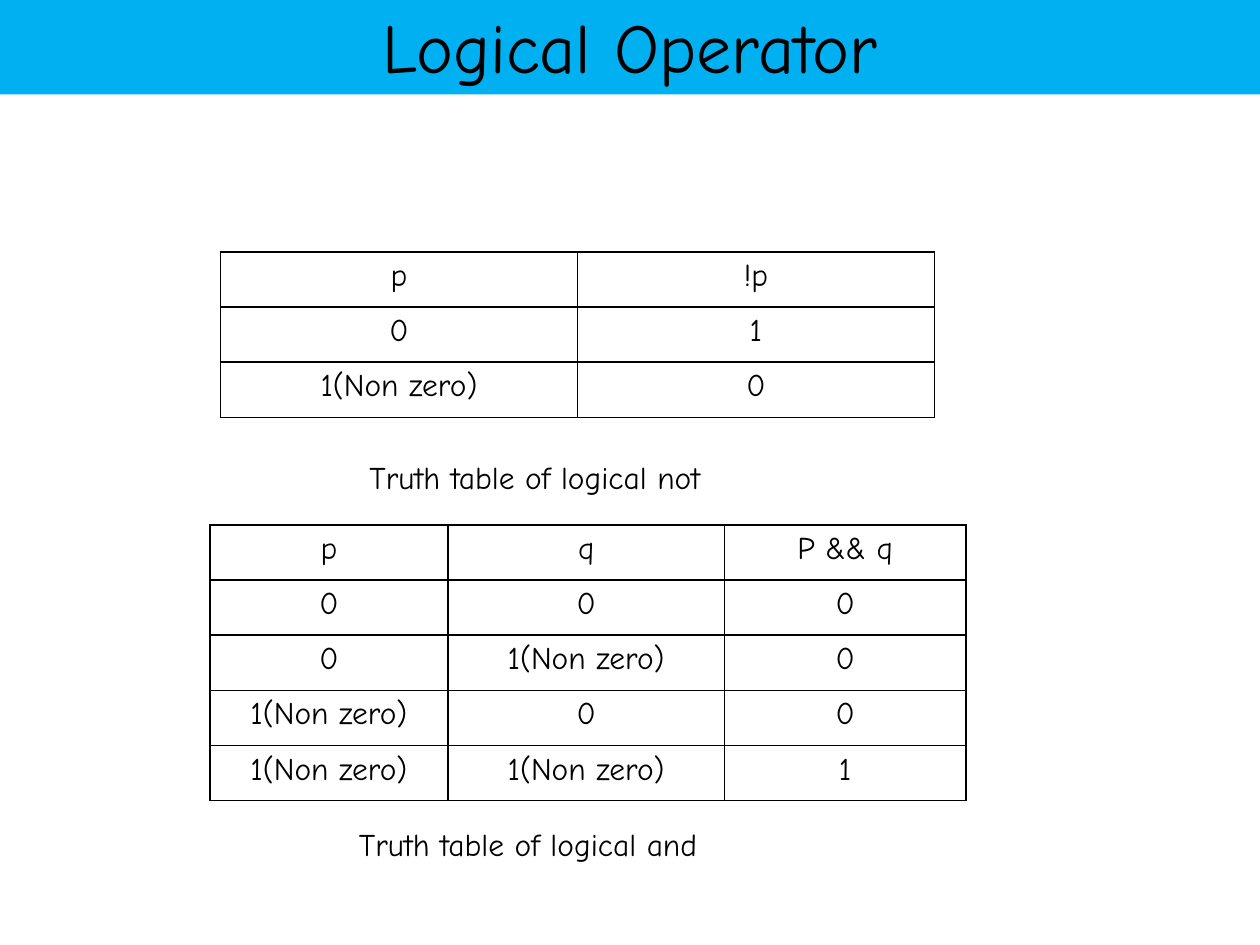
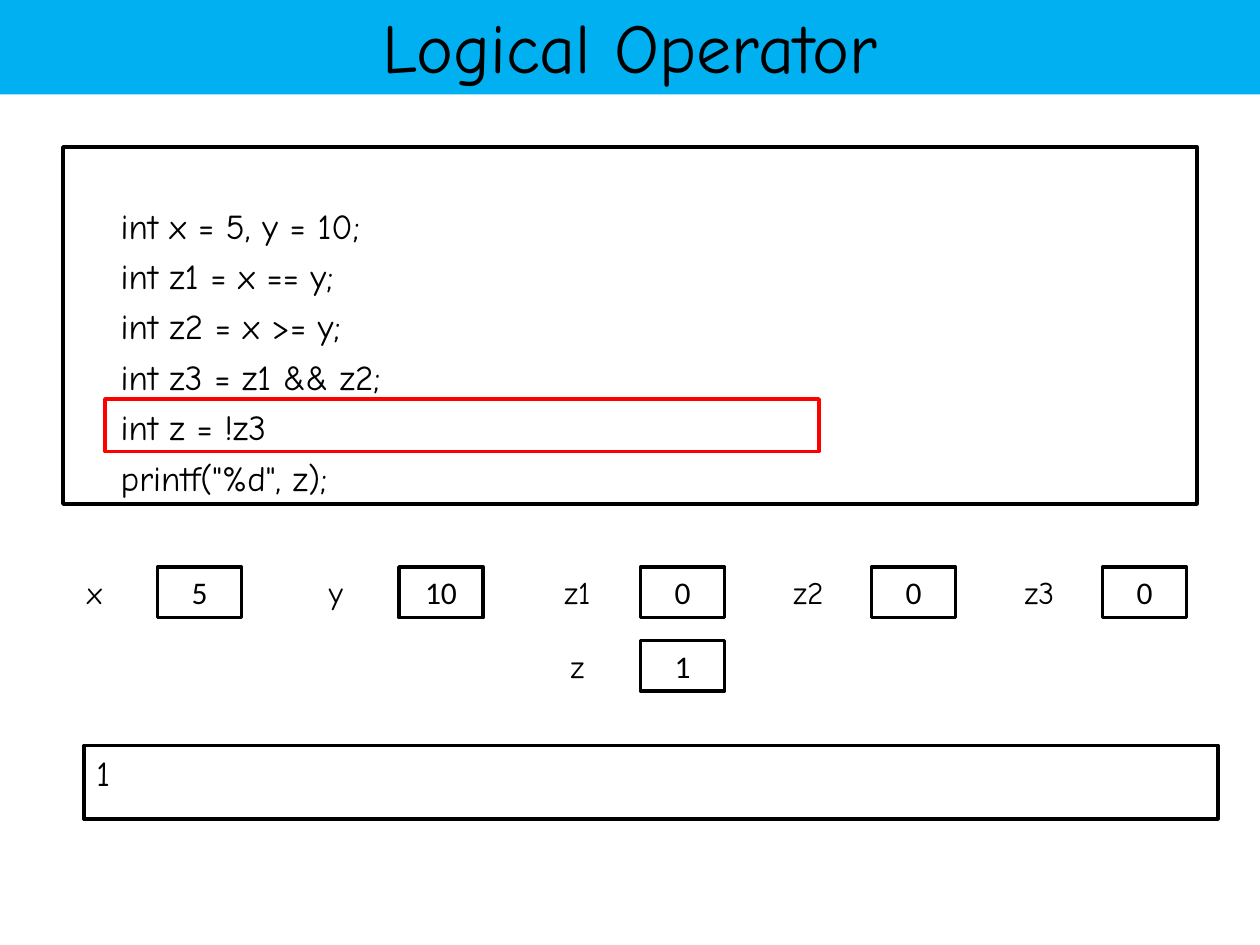
"""Build two slides on logical operators: truth tables and a traced program."""
from dataclasses import dataclass
from itertools import product

from lxml.etree import SubElement
from pptx import Presentation
from pptx.dml.color import RGBColor
from pptx.enum.shapes import MSO_SHAPE as Shape
from pptx.enum.text import MSO_ANCHOR as Anchor, MSO_AUTO_SIZE as AutoSize, PP_ALIGN as Align
from pptx.oxml import parse_xml
from pptx.oxml.ns import nsdecls, qn
from pptx.util import Pt


def color(value):
    return RGBColor.from_string(value)


@dataclass
class Board:
    deck: object
    page: object = None
    font: str = "Comic Neue"
    value_font: str = "Calibri"
    ink: str = "000000"
    paper: str = "FFFFFF"
    band: str = "00B0F0"
    accent: str = "FF0000"
    body_size: float = 18
    code_size: float = 20
    title_size: float = 40

    def start(self, title):
        self.page = self.deck.slides.add_slide(self.deck.slide_layouts[5])
        holder = self.page.shapes.title
        holder.left, holder.top, holder.width, holder.height = map(Pt, (-0.7, -2, 721, 56))
        holder.fill.solid()
        holder.fill.fore_color.rgb = color(self.band)
        frame = holder.text_frame
        frame.auto_size = AutoSize.NONE
        frame.vertical_anchor = Anchor.MIDDLE
        self.set_text(frame, [title], self.title_size, Align.CENTER)

    def set_text(self, frame, lines, size, align=Align.LEFT, font=None, gap=0):
        frame.word_wrap = True
        for index, line in enumerate(lines):
            para = frame.paragraphs[0] if index == 0 else frame.add_paragraph()
            para.text = line
            para.alignment = align
            para.space_before = Pt(gap if index else 0)
            para.font.name = font or self.font
            para.font.size = Pt(size)
            para.font.color.rgb = color(self.ink)

    def box(self, left, top, width, height, fill=None, line=None):
        box = self.page.shapes.add_shape(Shape.RECTANGLE, *map(Pt, (left, top, width, height)))
        box.shadow.inherit = False
        if fill:
            box.fill.solid()
            box.fill.fore_color.rgb = color(fill)
        else:
            box.fill.background()
        if line:
            box.line.color.rgb = color(line)
            box.line.width = Pt(2)
        else:
            box.line.fill.background()
        box.text_frame.vertical_anchor = Anchor.TOP
        return box

    def panel(self, left, top, height, lines, inset_left=7.2, inset_top=3.6):
        frame = self.box(left, top, 648, height, self.paper, self.ink).text_frame
        frame.margin_left, frame.margin_top = Pt(inset_left), Pt(inset_top)
        self.set_text(frame, lines, self.code_size, gap=4.8)

    def variable(self, left, top, name, value):
        label = self.box(left, top, 48, 29, self.paper)
        self.set_text(label.text_frame, [name], self.body_size, Align.CENTER)
        store = self.box(left + 60, top, 48, 29, self.paper, self.ink)
        self.set_text(store.text_frame, [value], self.body_size, Align.CENTER, self.value_font)

    def caption(self, left, top, text):
        box = self.page.shapes.add_textbox(*map(Pt, (left, top, 252, 29)))
        self.set_text(box.text_frame, [text], self.body_size)

    def border(self, cell):
        props = cell._tc.get_or_add_tcPr()
        for index, side in enumerate(("lnL", "lnR", "lnT", "lnB")):
            edge = parse_xml(f'<a:{side} {nsdecls("a")} w="{Pt(1)}"/>')
            SubElement(SubElement(edge, qn("a:solidFill")), qn("a:srgbClr"), val=self.ink)
            props.insert(index, edge)

    def table(self, left, top, widths, rows, row_height=31.5):
        table = self.page.shapes.add_table(
            len(rows), len(widths),
            *map(Pt, (left, top, sum(widths), row_height * len(rows)))).table
        table.first_row = table.horz_banding = False
        for column, width in zip(table.columns, widths):
            column.width = Pt(width)
        for row, texts in zip(table.rows, rows):
            row.height = Pt(row_height)
            for cell, text in zip(row.cells, texts):
                cell.fill.solid()
                cell.fill.fore_color.rgb = color(self.paper)
                self.border(cell)
                self.set_text(cell.text_frame, [text], self.body_size, Align.CENTER)


TITLE = "Logical Operator"
FALSE, TRUE = "0", "1(Non zero)"
CODE = [
    "int x = 5, y = 10;",
    "int z1 = x == y;",
    "int z2 = x >= y;",
    "int z3 = z1 && z2;",
    "int z = !z3",
    'printf("%d", z);',
]
VARIABLES = [
    (30, 324, "x", "5"),
    (168, 324, "y", "10"),
    (306, 324, "z1", "0"),
    (438, 324, "z2", "0"),
    (570, 324, "z3", "0"),
    (306, 366, "z", "1"),
]

deck = Presentation()
deck.slide_width, deck.slide_height = Pt(720), Pt(540)
board = Board(deck)

board.start(TITLE)
board.table(126, 144, [204, 204], [("p", "!p"), (FALSE, "1"), (TRUE, "0")])
board.caption(204, 258, "Truth table of logical not")
and_rows = [(p, q, "1" if p == q == TRUE else "0") for p, q in product((FALSE, TRUE), repeat=2)]
board.table(120, 300, [136, 158, 138], [("p", "q", "P && q"), *and_rows])
board.caption(198, 468, "Truth table of logical and")

board.start(TITLE)
board.panel(36, 84, 204, CODE, inset_left=33, inset_top=32.6)
board.panel(48, 426, 42, ["1"])
board.box(60, 228, 408, 30, line=board.accent)
for variable in VARIABLES:
    board.variable(*variable)

deck.save("out.pptx")
